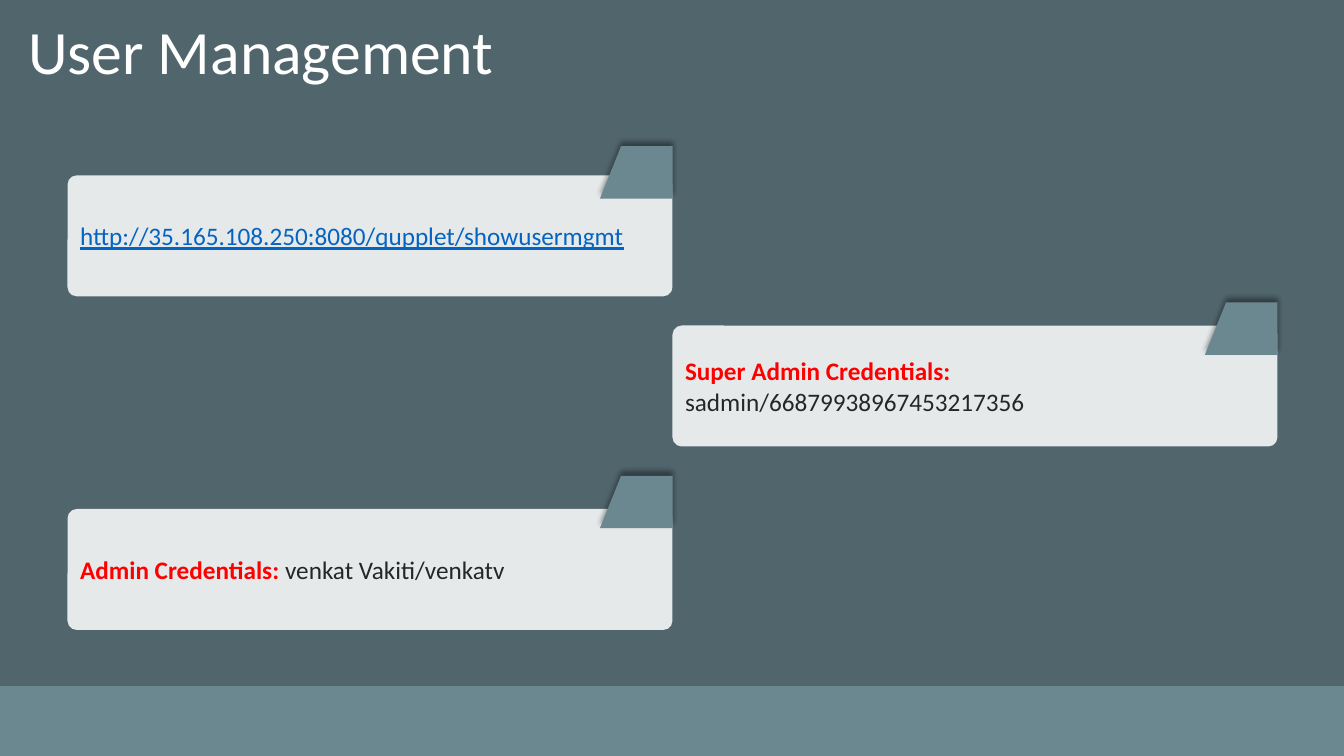
from dataclasses import dataclass

from lxml import etree
from pptx import Presentation
from pptx.dml.color import RGBColor
from pptx.enum import shapes, text
from pptx.oxml import ns
from pptx.util import Inches, Pt


@dataclass(frozen=True)
class Theme:
    background: str = "50656C"
    accent: str = "6B8891"
    white: str = "FFFFFF"
    label: str = "FF0000"
    body: str = "262626"
    link: str = "0563C1"
    shadow: str = "000000"
    font: str = "Calibri"
    title_size: int = 44
    body_size: int = 18


@dataclass(frozen=True)
class Span:
    text: str
    color: str
    bold: bool = False
    underline: bool = False


@dataclass(frozen=True)
class Panel:
    left: float
    top: float
    tab_top: float
    spans: tuple[Span, ...]


THEME = Theme()
PANEL_W, PANEL_H = 6, 1.2
TAB_W, TAB_H, TAB_SLANT = 0.72, 0.52, 0.21
PANELS = (
    Panel(0.67, 1.74, 1.45, (
        Span("http://35.165.108.250:8080/qupplet/showusermgmt", THEME.link, underline=True),)),
    Panel(6.67, 3.23, 3, (
        Span("Super Admin Credentials: ", THEME.label, bold=True),
        Span("sadmin/66879938967453217356", THEME.body))),
    Panel(0.67, 5.05, 4.72, (
        Span("Admin Credentials: ", THEME.label, bold=True),
        Span("venkat Vakiti/venkatv", THEME.body))),
)


def rgb(value: str) -> RGBColor:
    return RGBColor.from_string(value)


def paint(sp, color: str) -> None:
    sp.shadow.inherit = False
    sp.fill.solid()
    sp.fill.fore_color.rgb = rgb(color)
    sp.line.fill.background()


def add_alpha(color_element, percent: int) -> None:
    etree.SubElement(color_element, ns.qn("a:alpha"), val=str(percent * 1000))


def add_panel(slide, panel: Panel) -> None:
    sp = slide.shapes.add_shape(
        shapes.MSO_SHAPE.ROUNDED_RECTANGLE, Inches(panel.left), Inches(panel.top),
        Inches(PANEL_W), Inches(PANEL_H))
    sp.adjustments[0] = 0.076
    paint(sp, THEME.white)
    add_alpha(sp._element.spPr.find(ns.qn("a:solidFill"))[0], 86)
    tf = sp.text_frame
    tf.word_wrap = True
    tf.vertical_anchor = text.MSO_ANCHOR.MIDDLE
    p = tf.paragraphs[0]
    p.alignment = text.PP_ALIGN.LEFT
    p.font.name, p.font.size = THEME.font, Pt(THEME.body_size)
    for span in panel.spans:
        r = p.add_run()
        r.text = span.text
        r.font.color.rgb = rgb(span.color)
        r.font.bold, r.font.underline = span.bold, span.underline


def add_tab(slide, panel: Panel) -> None:
    right, top = panel.left + PANEL_W, panel.tab_top
    left, bottom = right - TAB_W, top + TAB_H
    builder = slide.shapes.build_freeform(Inches(left + TAB_SLANT), Inches(top))
    builder.add_line_segments(
        [(Inches(x), Inches(y)) for x, y in ((left, bottom), (right, bottom), (right, top))])
    sp = builder.convert_to_shape()
    paint(sp, THEME.accent)
    # Soft shadow cast upwards
    effects = sp._element.spPr.find(ns.qn("a:effectLst"))
    shadow = etree.SubElement(
        effects, ns.qn("a:outerShdw"), blurRad=str(Pt(4)), dist=str(Pt(3)),
        dir=str(270 * 60000), algn="b", rotWithShape="0")
    add_alpha(etree.SubElement(shadow, ns.qn("a:srgbClr"), val=THEME.shadow), 40)


def add_title(slide, title: str) -> None:
    sp = slide.shapes.title
    sp.left, sp.top, sp.width, sp.height = map(Inches, (0.16, 0.08, 4.86, 0.84))
    tf = sp.text_frame
    tf.text = title
    tf.word_wrap = False
    tf.auto_size = text.MSO_AUTO_SIZE.NONE
    tf.vertical_anchor = text.MSO_ANCHOR.TOP
    p = tf.paragraphs[0]
    p.alignment = text.PP_ALIGN.CENTER
    p.font.name, p.font.size = THEME.font, Pt(THEME.title_size)
    p.font.color.rgb = rgb(THEME.white)


def main() -> None:
    prs = Presentation()
    prs.slide_width, prs.slide_height = Inches(13.33), Inches(7.5)
    slide = prs.slides.add_slide(prs.slide_layouts.get_by_name("Title Only"))
    slide.background.fill.solid()
    slide.background.fill.fore_color.rgb = rgb(THEME.background)
    add_title(slide, "User Management")

    # Footer band
    band = slide.shapes.add_shape(
        shapes.MSO_SHAPE.FLOWCHART_PROCESS, 0, Inches(6.81), prs.slide_width, Inches(0.69))
    paint(band, THEME.accent)

    # Panels with corner tabs
    for panel in PANELS:
        add_panel(slide, panel)
        add_tab(slide, panel)
    prs.save("out.pptx")


if __name__ == "__main__":
    main()
